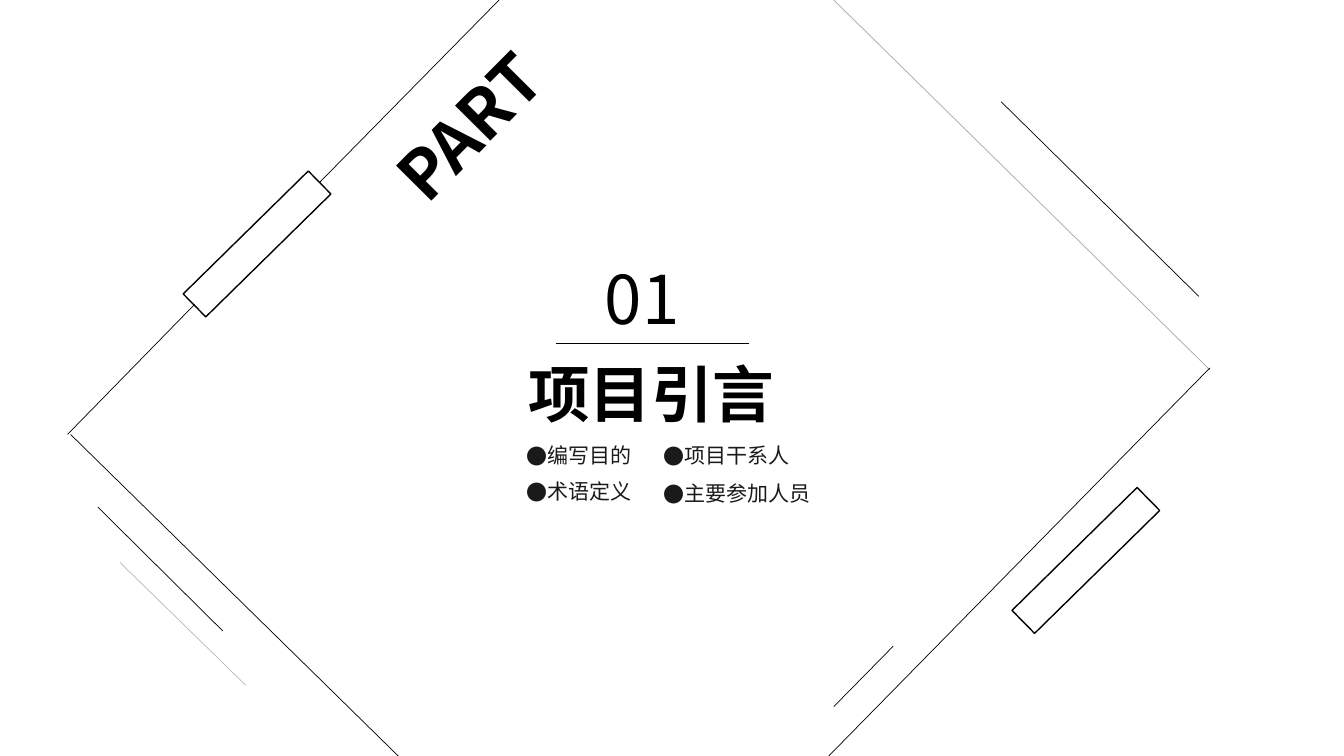
from lxml import etree
from pptx import Presentation
from pptx.dml.color import RGBColor
from pptx.enum.shapes import MSO_CONNECTOR, MSO_SHAPE
from pptx.enum.text import MSO_AUTO_SIZE, PP_ALIGN
from pptx.oxml.ns import qn
from pptx.util import Inches, Pt

FONT = "Noto Sans CJK SC"
INK, BODY = "000000", "1A1A1A"

BAR_SIZE, BAR_ROTATION = (1.74, 0.32), 315.5
BARS = {"upper left": (1.68, 2.26), "lower right": (9.9, 5.4)}

LINES = [
    {"start": (4.95, 0), "end": (3.17, 1.81), "joins": ("upper left", 3)},
    {"start": (0.67, 4.31), "end": (1.93, 3.02), "joins": ("upper left", 1)},
    {"start": (3.95, 7.5), "end": (0.7, 4.31)},
    {"start": (12, 3.67), "end": (8.27, 0), "opacity": 34},
    {"start": (12, 3.65), "end": (8.22, 7.5)},
    {"start": (11.89, 2.94), "end": (9.93, 1.01)},
    {"start": (2.21, 6.26), "end": (0.97, 5.03)},
    {"start": (2.44, 6.8), "end": (1.19, 5.58), "opacity": 28},
    {"start": (8.86, 6.41), "end": (8.27, 7.01)},
    {"start": (5.51, 3.41), "end": (7.43, 3.41)},
]

HEADINGS = [
    {"text": "PART", "box": (3.62, 0.59, 2.47, 0.91), "rotation": 314.8,
     "align": PP_ALIGN.JUSTIFY, "wrap": True, "font": {"size": Pt(48), "bold": True}},
    {"text": "01", "box": (5.9, 2.5, 1.12, 0.91), "rotation": 0,
     "align": PP_ALIGN.JUSTIFY, "wrap": True, "font": {"size": Pt(48), "bold": False}},
    {"text": "项目引言", "box": (5.14, 3.48, 2.67, 0.84), "rotation": 0,
     "align": PP_ALIGN.LEFT, "wrap": False, "font": {"size": Pt(44), "bold": True}},
]

TOPIC_SIZE, TOPIC_INDENT = (1.71, 0.25), 0.19
TOPICS = {
    "编写目的": (5.22, 4.39), "术语定义": (5.22, 4.75),
    "项目干系人": (6.58, 4.39), "主要参加人员": (6.58, 4.77),
}


def color(hex_code):
    return RGBColor.from_string(hex_code)


def add_bar(slide, corner):
    bar = slide.shapes.add_shape(MSO_SHAPE.RECTANGLE, *map(Inches, corner + BAR_SIZE))
    bar.rotation = BAR_ROTATION
    bar.shadow.inherit = False
    bar.fill.background()
    bar.line.color.rgb = color(INK)
    bar.line.width = Pt(1)
    return bar


def add_line(slide, bars, start, end, opacity=100, joins=None):
    ends = [Inches(value) for value in start + end]
    line = slide.shapes.add_connector(MSO_CONNECTOR.STRAIGHT, *ends)
    if joins:
        bar, side = joins
        line.end_connect(bars[bar], side)
        line.end_x, line.end_y = ends[2:]
    line.line.color.rgb = color(INK)
    line.line.width = Pt(0.5)
    properties = line._element.spPr
    if opacity < 100:
        ink = properties.find(".//" + qn("a:srgbClr"))
        etree.SubElement(ink, qn("a:alpha"), val=str(opacity * 1000))
    etree.SubElement(properties, qn("a:effectLst"))


def add_text(slide, text, box, font, ink=INK, wrap=True, align=PP_ALIGN.LEFT, rotation=0):
    holder = slide.shapes.add_textbox(*map(Inches, box))
    holder.rotation = rotation
    frame = holder.text_frame
    frame.word_wrap = wrap
    frame.auto_size = MSO_AUTO_SIZE.SHAPE_TO_FIT_TEXT
    paragraph = frame.paragraphs[0]
    paragraph.alignment = align
    run = paragraph.add_run()
    run.text = text
    for name, value in {"name": FONT, **font}.items():
        setattr(run.font, name, value)
    run.font.color.rgb = color(ink)
    etree.SubElement(run._r.get_or_add_rPr(), qn("a:ea"), typeface=FONT)
    return frame


def add_topic(slide, topic, corner):
    frame = add_text(slide, topic, corner + TOPIC_SIZE, {"size": Pt(15)}, BODY)
    for side in ("left", "top", "right", "bottom"):
        setattr(frame, "margin_" + side, 0)
    paragraph = frame.paragraphs[0]
    paragraph.level = 1
    properties = paragraph._p.get_or_add_pPr()
    properties.set("marL", str(Inches(TOPIC_INDENT)))
    properties.set("indent", str(-Inches(TOPIC_INDENT)))
    etree.SubElement(properties, qn("a:buFont"), typeface=FONT)
    etree.SubElement(properties, qn("a:buChar"), char="●")


def main():
    """Build the section divider slide."""
    deck = Presentation()
    deck.slide_width, deck.slide_height = Inches(13.33), Inches(7.5)
    slide = deck.slides.add_slide(deck.slide_layouts[6])
    bars = {place: add_bar(slide, corner) for place, corner in BARS.items()}
    for line in LINES:
        add_line(slide, bars, **line)
    for heading in HEADINGS:
        add_text(slide, **heading)
    for topic, corner in TOPICS.items():
        add_topic(slide, topic, corner)
    deck.save("out.pptx")


if __name__ == "__main__":
    main()
